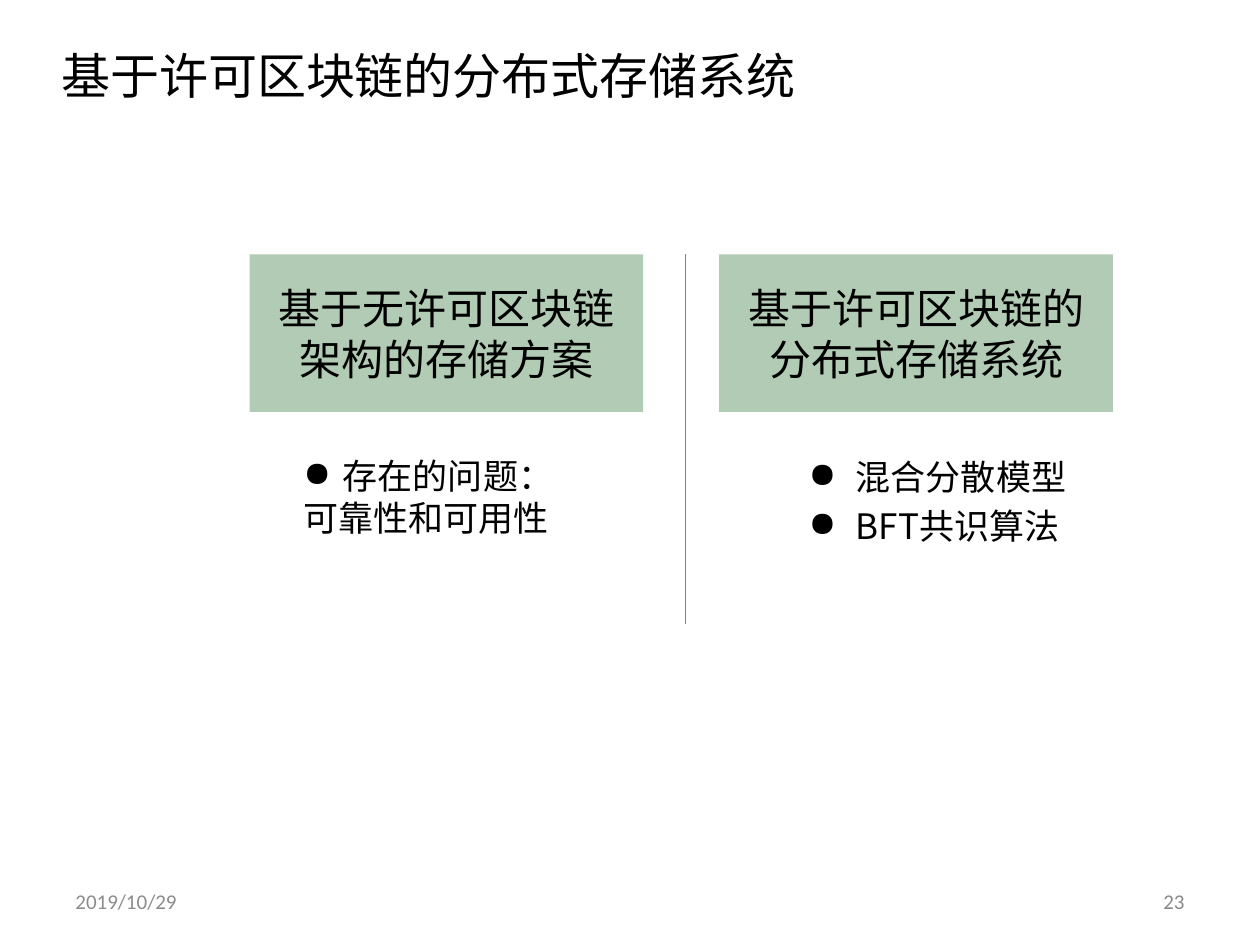
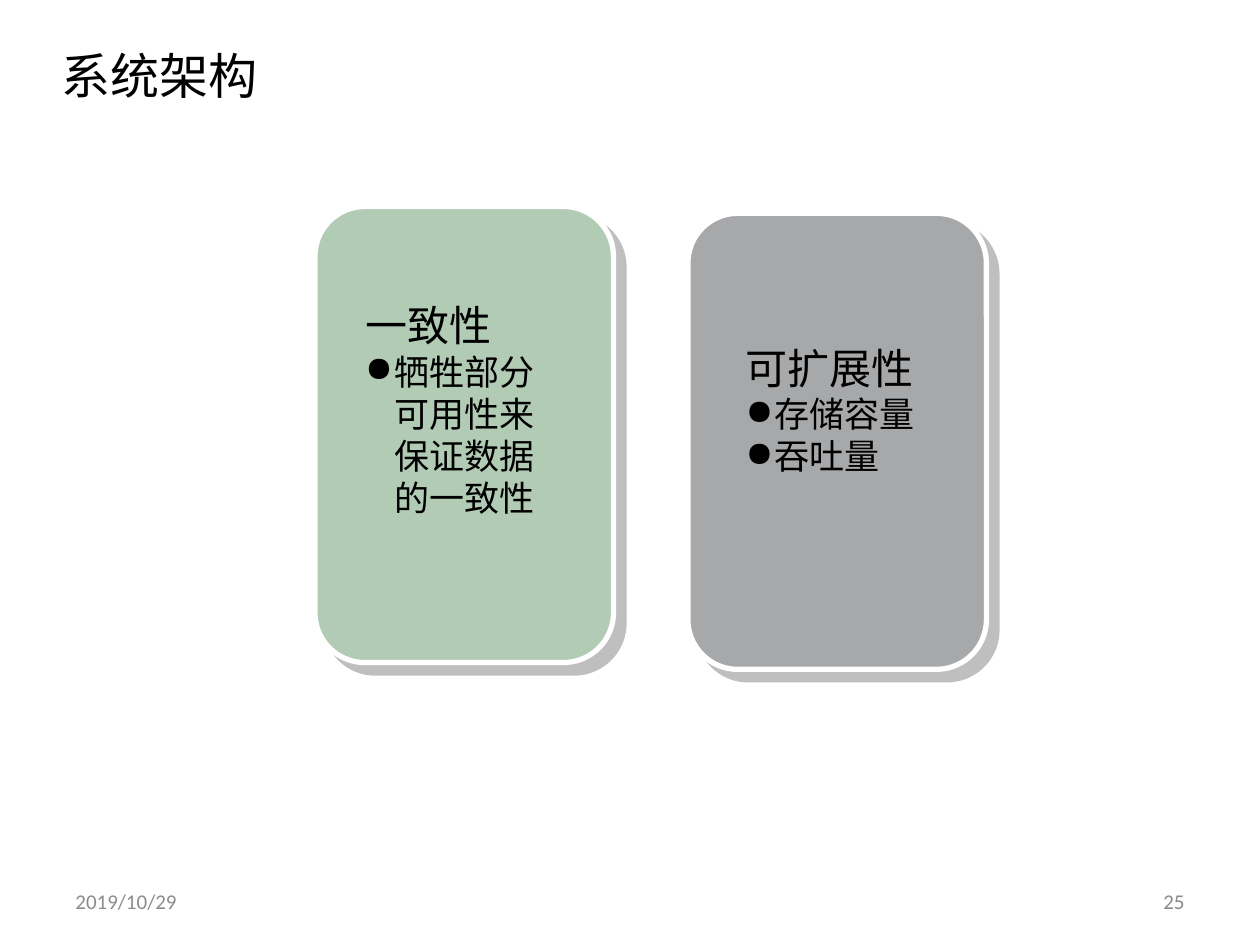
from lxml.etree import SubElement
from pptx import Presentation
from pptx.dml.color import RGBColor
from pptx.enum.shapes import MSO_CONNECTOR, MSO_SHAPE
from pptx.enum.text import MSO_ANCHOR as Anchor, MSO_AUTO_SIZE as AutoSize, PP_ALIGN as Align
from pptx.oxml.ns import qn
from pptx.util import Pt

COLORS = {
    "text": "000000", "green": "B2CBB5", "gray": "A7A8AA", "white": "FFFFFF",
    "rule": "808080", "date": "8C8C8C", "number": "898989",
}
CJK_FONT, FOOTER_FONT = "Noto Sans CJK SC", "Calibri"
DATE = "2019/10/29"


def rgb(name):
    return RGBColor.from_string(COLORS[name])


def apply(target, values):
    for name, value in values.items():
        setattr(target, name, value)


def item(text, size=20, hang=0, bullet=False, **layout):
    """Describe one paragraph; layout holds python-pptx paragraph attributes."""
    return {"text": text, "size": size, "hang": hang, "bullet": bullet, "layout": layout}


class Deck:
    def __init__(self):
        self.presentation = Presentation()
        apply(self.presentation, {"slide_width": Pt(720), "slide_height": Pt(540)})
        self.slide = None

    # Slide with the shared title and footer
    def new_slide(self, title, title_width, number):
        self.slide = self.presentation.slides.add_slide(self.presentation.slide_layouts[6])
        self.text((28, 22.3, title_width, 41), [item(title, 28)], wrap=False)
        for left, text, color, align in ((36, DATE, "date", Align.LEFT),
                                         (516, number, "number", Align.RIGHT)):
            self.text((left, 500.5, 168, 28.75), [item(text, 12, alignment=align)],
                      font=FOOTER_FONT, color=color,
                      vertical_anchor=Anchor.MIDDLE, auto_size=AutoSize.NONE)

    def fill_frame(self, frame, items, font=CJK_FONT, color="text"):
        for index, entry in enumerate(items):
            paragraph = frame.add_paragraph() if index else frame.paragraphs[0]
            properties = paragraph._p.get_or_add_pPr()
            if entry["hang"]:
                properties.set("marL", str(Pt(entry["hang"])))
                properties.set("indent", str(-Pt(entry["hang"])))
            if entry["bullet"]:
                SubElement(properties, qn("a:buChar")).set("char", "●")
            apply(paragraph, entry["layout"])
            run = paragraph.add_run()
            run.text = entry["text"]
            apply(run.font, {"size": Pt(entry["size"]), "name": font})
            run.font.color.rgb = rgb(color)
            SubElement(run._r.get_or_add_rPr(), qn("a:ea")).set("typeface", font)

    def text(self, box, items, font=CJK_FONT, color="text", wrap=True, **frame_format):
        frame = self.slide.shapes.add_textbox(*map(Pt, box)).text_frame
        apply(frame, {"word_wrap": wrap, "auto_size": AutoSize.SHAPE_TO_FIT_TEXT, **frame_format})
        self.fill_frame(frame, items, font, color)

    def shape(self, kind, box, fill, parent=None):
        shape = (parent or self.slide).shapes.add_shape(kind, *map(Pt, box))
        shape.shadow.inherit = False
        shape.fill.solid()
        shape.fill.fore_color.rgb = rgb(fill)
        shape.line.fill.background()
        return shape

    def heading_box(self, box, text):
        frame = self.shape(MSO_SHAPE.RECTANGLE, box, "green").text_frame
        apply(frame, {"word_wrap": True, "vertical_anchor": Anchor.MIDDLE,
                      "margin_left": Pt(5), "margin_right": Pt(5),
                      "margin_top": Pt(3), "margin_bottom": Pt(3)})
        self.fill_frame(frame, [item(text, 24, alignment=Align.CENTER)])

    def rule(self, x, top, bottom):
        line = self.slide.shapes.add_connector(
            MSO_CONNECTOR.STRAIGHT, Pt(x), Pt(top), Pt(x), Pt(bottom))
        line.line.color.rgb = rgb("rule")
        line.line.width = Pt(0.25)
        SubElement(line._element.spPr, qn("a:effectLst"))

    # Rounded card with a white edge, a hard shadow and a top band
    def card(self, left, top, fill):
        group = self.slide.shapes.add_group_shape()
        body = self.shape(MSO_SHAPE.ROUNDED_RECTANGLE, (left, top, 170.6, 260.6), fill, group)
        body.adjustments[0] = 0.167
        body.line.color.rgb = rgb("white")
        body.line.width = Pt(3)
        effects = body._element.spPr.find(qn("a:effectLst"))
        shadow = SubElement(effects, qn("a:outerShdw"), dist=str(Pt(8.5)),
                            dir=str(45 * 60000), algn="ctr", rotWithShape="0")
        color = SubElement(shadow, qn("a:srgbClr"), val=COLORS["rule"])
        SubElement(color, qn("a:alpha"), val="50000")
        band = self.shape(MSO_SHAPE.ROUNDED_RECTANGLE, (left + 7, top + 3, 157, 36), fill, group)
        band.adjustments[0] = 0.5


def main():
    deck = Deck()

    # Two storage approaches side by side
    deck.new_slide("基于许可区块链的分布式存储系统", 438.5, "23")
    deck.text((455, 257, 162.7, 60.5), [
        item("混合分散模型", hang=27, bullet=True),
        item("BFT共识算法", hang=27, bullet=True, space_before=Pt(4)),
    ], wrap=False)
    deck.text((166.3, 256.3, 162, 55.4), [
        item("存在的问题：", hang=22.5, bullet=True),
        item("可靠性和可用性", hang=22.5),
    ], wrap=False)
    deck.rule(391.7, 145.4, 356.4)
    for left, heading in ((142.6, "基于无许可区块链架构的存储方案"),
                          (411, "基于许可区块链的分布式存储系统")):
        deck.heading_box((left, 145.4, 225, 90), heading)

    # Architecture goals as two cards
    deck.new_slide("系统架构", 127.4, "25")
    cards = (
        ((180, 118, "green"), (201.6, 167.8, 113, 133.2), True,
         "一致性", ["牺牲部分可用性来保证数据的一致性"]),
        ((393.1, 121.9, "gray"), (419, 192.2, 122.4, 85), False,
         "可扩展性", ["存储容量", "吞吐量"]),
    )
    for card, box, wrap, heading, points in cards:
        deck.card(*card)
        deck.text(box, [item(heading, 24)]
                  + [item(point, hang=16.5, bullet=True) for point in points], wrap=wrap)

    deck.presentation.save("out.pptx")


if __name__ == "__main__":
    main()
